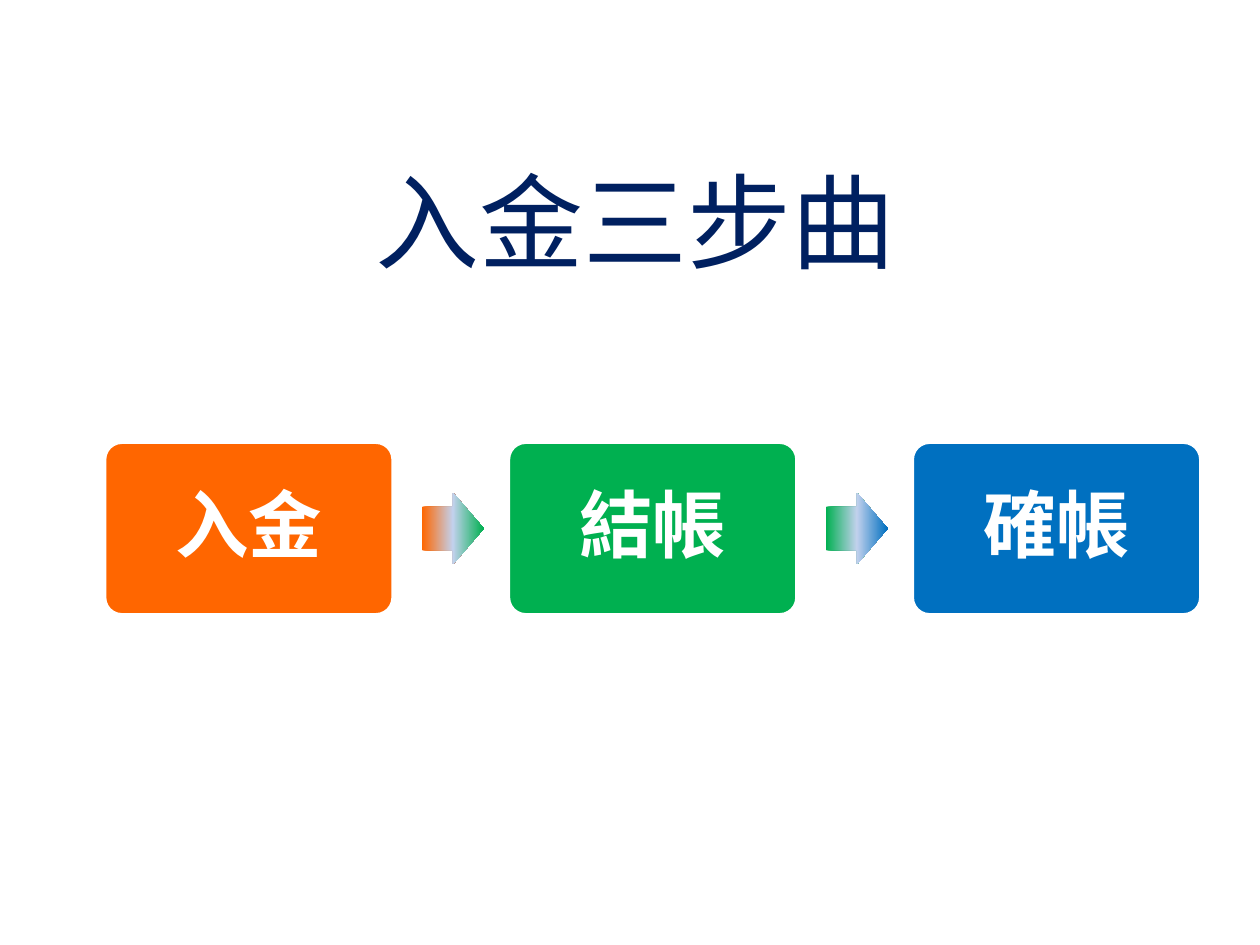
from copy import deepcopy
from dataclasses import dataclass
from itertools import pairwise

from lxml.etree import SubElement
from pptx import Presentation
from pptx.dml.color import RGBColor
from pptx.enum.shapes import MSO_SHAPE
from pptx.enum.text import MSO_ANCHOR, PP_ALIGN
from pptx.oxml.ns import qn
from pptx.slide import Slide
from pptx.text.text import TextFrame
from pptx.util import Inches, Pt

STEP_LEFT, STEP_TOP, STEP_WIDTH, STEP_HEIGHT = 0.83, 3.51, 2.29, 1.37
STEP_PITCH = 3.205
ARROW_OFFSET, ARROW_WIDTH, ARROW_HEIGHT = 2.52, 0.49, 0.57
ARROW_MIDDLE = "C2D1ED"


@dataclass
class Step:
    """One stage of the process."""
    label: str
    color: str


STEPS = [Step("入金", "FF6600"), Step("結帳", "00B050"), Step("確帳", "0070C0")]


def rgb(value: str) -> RGBColor:
    """Turn a hex string into a colour."""
    return RGBColor.from_string(value)


def apply_format(target: object, values: dict) -> None:
    """Set every attribute named in the dict."""
    for name, value in values.items():
        setattr(target, name, value)


def write_text(frame: TextFrame, text: str, color: str, inset: float,
               font: dict, para_format: dict) -> None:
    """Write one centred line in a frame."""
    sides = ("left", "right", "top", "bottom")
    apply_format(frame, {f"margin_{side}": Inches(inset) for side in sides})
    apply_format(frame, {"word_wrap": True, "vertical_anchor": MSO_ANCHOR.MIDDLE})
    para = frame.paragraphs[0]
    apply_format(para, {"alignment": PP_ALIGN.CENTER, **para_format})
    span = para.add_run()
    span.text = text
    apply_format(span.font, font)
    span.font.color.rgb = rgb(color)
    east_asian = SubElement(span._r.get_or_add_rPr(), qn("a:ea"))
    east_asian.set("typeface", "Noto Sans CJK SC")


def draw_title(page: Slide, text: str) -> None:
    """Draw the slide title."""
    box = page.shapes.add_textbox(Inches(0.83), Inches(1.31), Inches(8.43), Inches(0.87))
    write_text(box.text_frame, text, "002060", 0.05,
               {"name": "Calibri", "size": Pt(59.4)}, {})


def draw_step(page: Slide, left: float, step: Step) -> None:
    """Draw a rounded box with the label of a step."""
    box = page.shapes.add_shape(MSO_SHAPE.ROUNDED_RECTANGLE, Inches(left), Inches(STEP_TOP),
                                Inches(STEP_WIDTH), Inches(STEP_HEIGHT))
    box.adjustments[0] = 0.1
    box.shadow.inherit = False
    box.fill.solid()
    box.fill.fore_color.rgb = rgb(step.color)
    box.line.color.rgb = rgb("FFFFFF")
    box.line.width = Pt(2)
    write_text(box.text_frame, step.label, "FFFFFF", 0.17,
               {"name": "Noto Sans CJK SC", "size": Pt(42), "bold": True},
               {"line_spacing": 0.9, "space_after": Pt(14.7)})


def draw_arrow(page: Slide, left: float, start: Step, end: Step) -> None:
    """Draw an arrow that fades from one step's colour to the next."""
    top = STEP_TOP + (STEP_HEIGHT - ARROW_HEIGHT) / 2
    arrow = page.shapes.add_shape(MSO_SHAPE.RIGHT_ARROW, Inches(left), Inches(top),
                                  Inches(ARROW_WIDTH), Inches(ARROW_HEIGHT))
    arrow.adjustments[0], arrow.adjustments[1] = 0.6, 0.5
    arrow.shadow.inherit = False
    arrow.line.fill.background()
    arrow.fill.gradient()
    arrow.fill.gradient_angle = 0
    first_stop = arrow._element.spPr.find(".//" + qn("a:gs"))
    first_stop.addnext(deepcopy(first_stop))
    colors = (start.color, ARROW_MIDDLE, end.color)
    for stop, color, position in zip(arrow.fill.gradient_stops, colors, (0, 0.5, 1)):
        stop.color.rgb = rgb(color)
        stop.position = position


def main() -> None:
    """Build and save the deck."""
    deck = Presentation()
    apply_format(deck, {"slide_width": Inches(10), "slide_height": Inches(7.5)})
    page = deck.slides.add_slide(deck.slide_layouts[6])
    draw_title(page, "入金三步曲")
    for index, step in enumerate(STEPS):
        draw_step(page, STEP_LEFT + index * STEP_PITCH, step)
    for index, (start, end) in enumerate(pairwise(STEPS)):
        draw_arrow(page, STEP_LEFT + ARROW_OFFSET + index * STEP_PITCH, start, end)
    deck.save("out.pptx")


if __name__ == "__main__":
    main()
